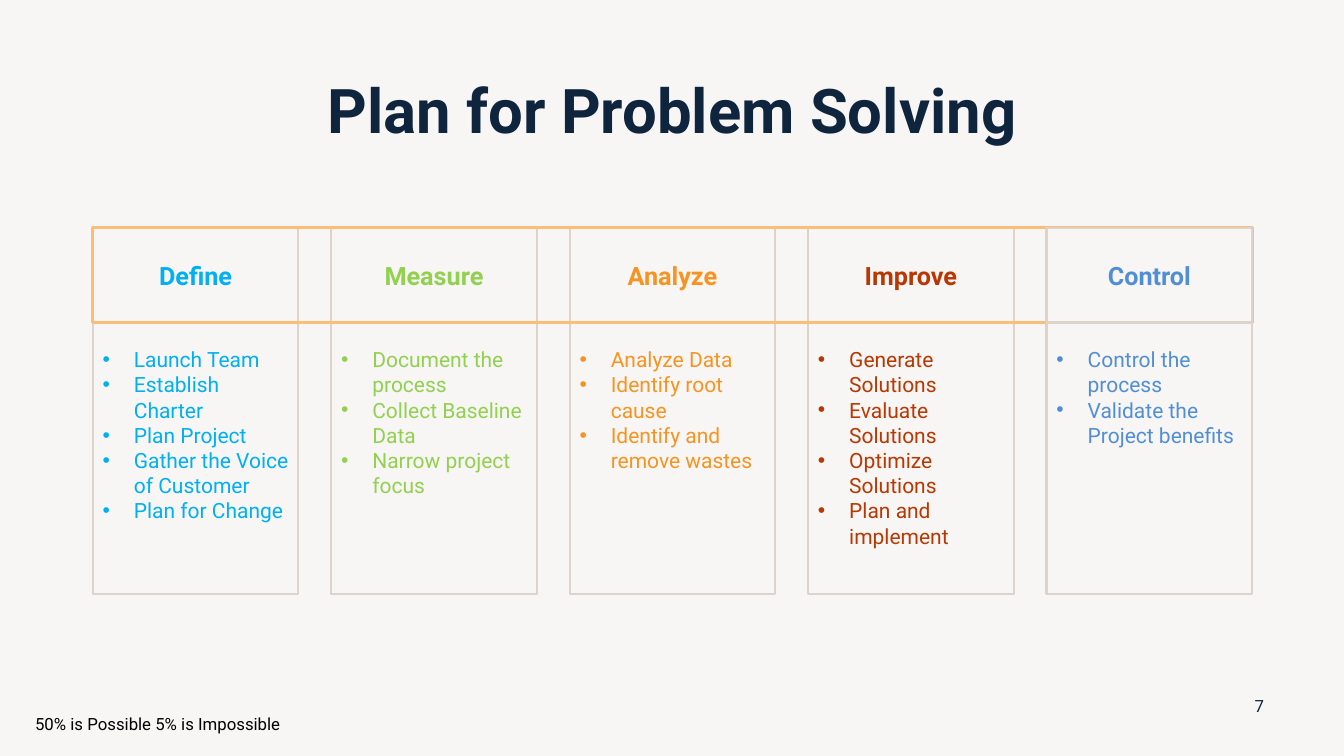
from lxml import etree
from pptx import Presentation, util as u
from pptx.dml.color import RGBColor
from pptx.enum import shapes, text
from pptx.oxml import ns

FONT = "Roboto"
NAVY, SAND, APRICOT, PAPER = "0F253E", "DCD3CC", "FABE79", "F8F6F5"
GRID = (0.92, 2.26, 11.5, 3.63)
HEADER_HEIGHT, COLUMN_WIDTH = 0.94, 2.04
PHASES = [
    ("Define", "00B0F0", ["Launch Team", "Establish Charter", "Plan Project",
                          "Gather the Voice of Customer", "Plan for Change"]),
    ("Measure", "92D050", ["Document the process", "Collect Baseline Data",
                           "Narrow project focus"]),
    ("Analyze", "F79320", ["Analyze Data", "Identify root cause",
                           "Identify and remove wastes"]),
    ("Improve", "B83803", ["Generate Solutions", "Evaluate Solutions",
                           "Optimize Solutions", "Plan and implement"]),
    ("Control", "518FD5", ["Control the process", "Validate the Project benefits"]),
]


def color(value):
    """Turn a hex string into a colour."""
    return RGBColor.from_string(value)


def inches(box):
    """Convert a box given in inches to slide lengths."""
    return [u.Inches(length) for length in box]


def write(shape, lines, size, ink, bold=False, align=text.PP_ALIGN.CENTER,
          anchor=text.MSO_ANCHOR.MIDDLE):
    """Fill a shape with evenly styled paragraphs."""
    frame = shape.text_frame
    frame.text = "\n".join(lines)
    frame.word_wrap = True
    frame.vertical_anchor = anchor
    for para in frame.paragraphs:
        para.alignment = align
        for span in para.runs:
            span.font.name = FONT
            span.font.size = u.Pt(size)
            span.font.bold = bold
            span.font.color.rgb = color(ink)
    return frame


def add_text(page, box, line, size, ink, **style):
    """Add a text box holding one line."""
    return write(page.shapes.add_textbox(*inches(box)), [line], size, ink, **style)


def add_outline(page, box, ink, width):
    """Add an unfilled rectangle."""
    shape = page.shapes.add_shape(shapes.MSO_SHAPE.RECTANGLE, *inches(box))
    shape.shadow.inherit = False
    shape.fill.background()
    shape.line.color.rgb = color(ink)
    shape.line.width = u.Pt(width)
    return shape


def add_bullet(para):
    """Give a paragraph a hanging round bullet."""
    properties = para._p.get_or_add_pPr()
    properties.set("marL", str(u.Inches(0.31)))
    properties.set("indent", str(-u.Inches(0.31)))
    etree.SubElement(properties, ns.qn("a:buFont")).set("typeface", "Arial")
    etree.SubElement(properties, ns.qn("a:buChar")).set("char", "•")


def add_steps(page, box, steps, ink):
    """Add the bulleted body of one phase."""
    frame = write(add_outline(page, box, SAND, 1.5), steps, 15, ink,
                  align=text.PP_ALIGN.LEFT, anchor=text.MSO_ANCHOR.TOP)
    frame.margin_top = u.Inches(0.24)
    for para in frame.paragraphs:
        add_bullet(para)


def add_phases(page, box):
    """Lay out the phase columns and the band that joins their headers."""
    left, top, width, height = box
    pitch = (width - COLUMN_WIDTH) / (len(PHASES) - 1)
    columns = [left + index * pitch for index in range(len(PHASES))]
    for column, (name, ink, steps) in zip(columns, PHASES):
        body = (column, top + HEADER_HEIGHT, COLUMN_WIDTH, height - HEADER_HEIGHT)
        add_steps(page, body, steps, ink)
    for column, (name, ink, steps) in zip(columns, PHASES):
        if column == columns[-1]:
            add_outline(page, (left, top, width, HEADER_HEIGHT), APRICOT, 2.25)
        header = add_outline(page, (column, top, COLUMN_WIDTH, HEADER_HEIGHT), SAND, 1.5)
        write(header, [name], 18, ink, bold=True)


def main():
    """Build and save the slide."""
    deck = Presentation()
    deck.slide_width, deck.slide_height = inches((13.33, 7.5))
    page = deck.slides.add_slide(deck.slide_layouts[6])
    page.background.fill.solid()
    page.background.fill.fore_color.rgb = color(PAPER)
    title = add_text(page, (0.92, 0.4, 11.5, 1.45), "Plan for Problem Solving",
                     44, NAVY, bold=True)
    title.paragraphs[0].line_spacing = 0.9
    add_phases(page, GRID)
    add_text(page, (12.24, 6.8, 0.5, 0.4), "7", 12, NAVY)
    add_text(page, (0.25, 7.03, 4.5, 0.4), "50% is Possible 5% is Impossible", 12,
             "000000", align=text.PP_ALIGN.LEFT, anchor=text.MSO_ANCHOR.TOP)
    deck.save("out.pptx")


if __name__ == "__main__":
    main()
